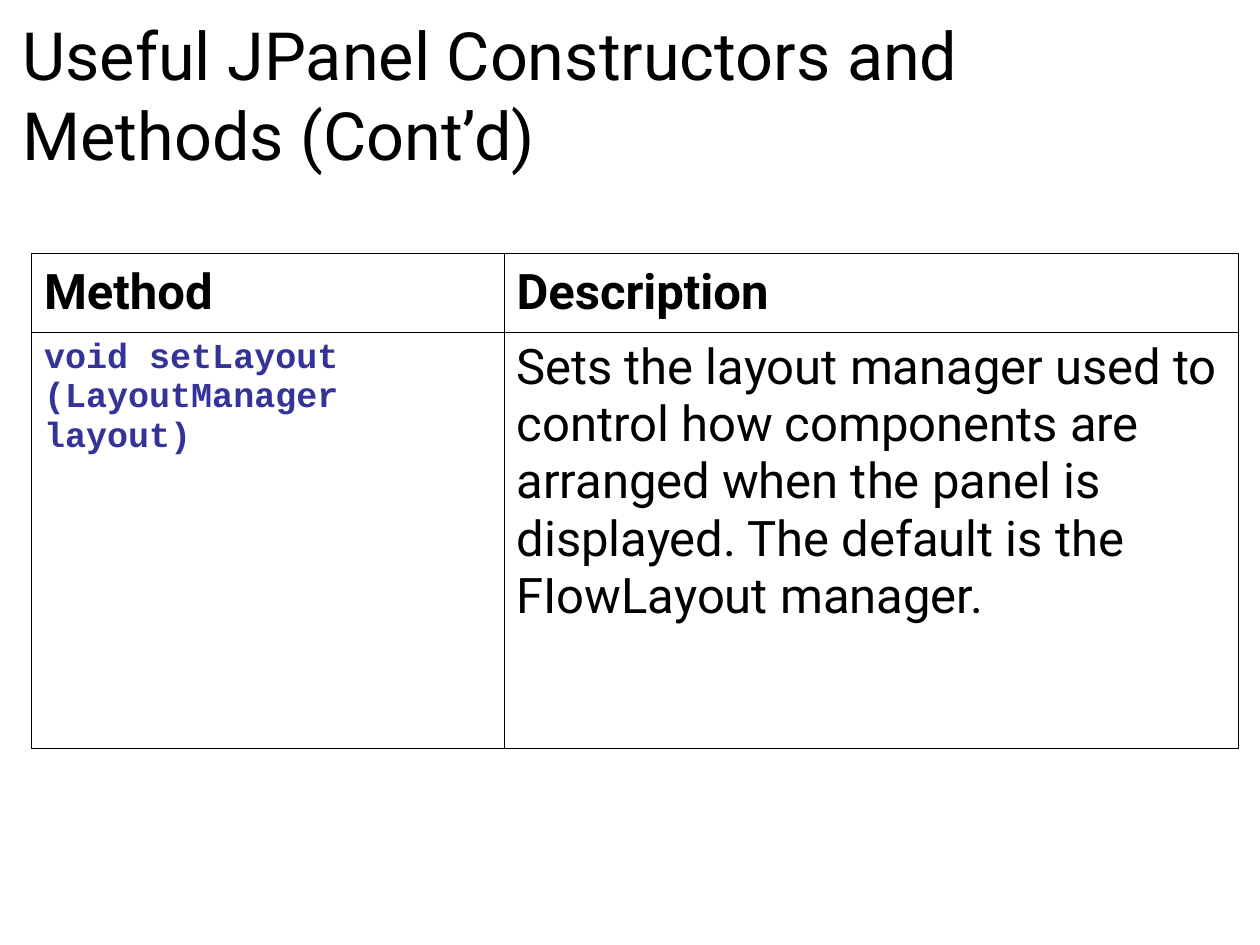
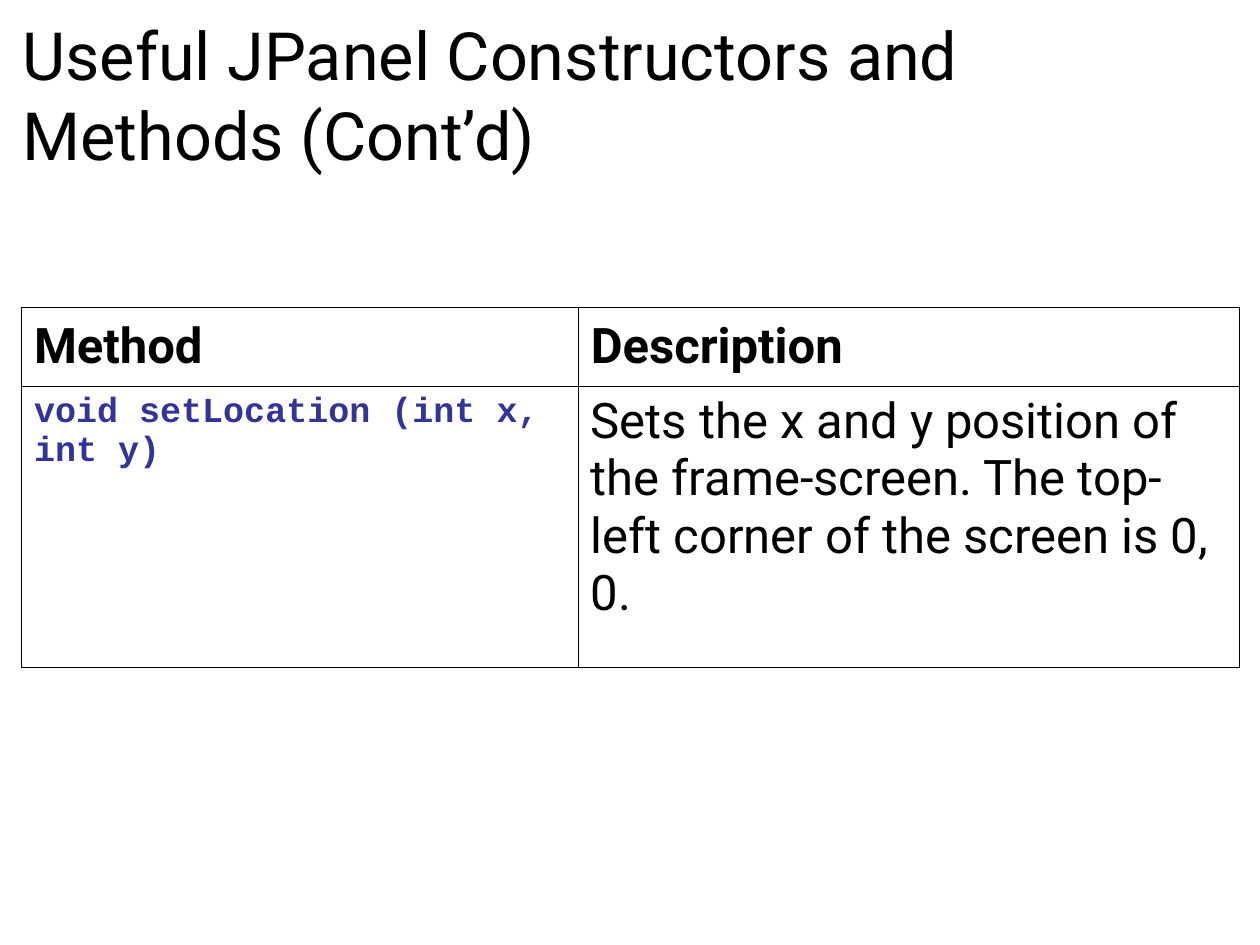
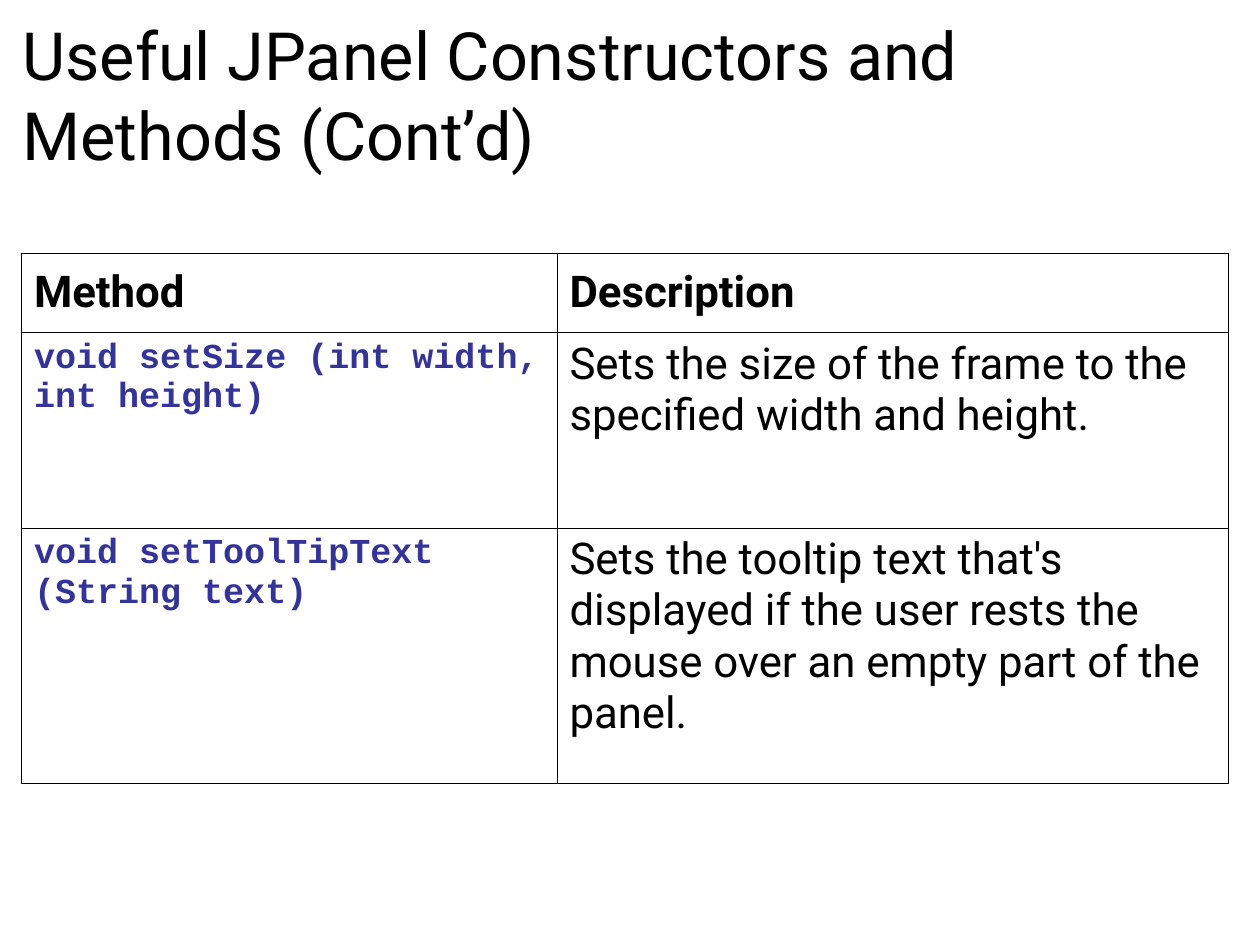
from lxml import etree
from pptx import Presentation
from pptx.dml.color import RGBColor
from pptx.enum.text import MSO_ANCHOR
from pptx.oxml.ns import qn
from pptx.util import Emu, Pt

TOP, MIDDLE = MSO_ANCHOR.TOP, MSO_ANCHOR.MIDDLE
PX = 9144  # 100 px to the inch
PAGE_SIZE = (1000, 750)
COLORS = {"text": "000000", "code": "333399", "border": "000000"}
BODY_FONT, CODE_FONT = "Roboto", "Courier New"
CODE_SIZE, TITLE_SIZE = 20, 38
BORDER_WIDTH = Pt(0.45)
INSET_X, INSET_Y = 10, 5

TITLE = "Useful JPanel Constructors and Methods (Cont’d)"
TITLE_BOX = (8, 6, 825, 157)
HEADINGS = ("Method", "Description")

# One entry per slide; "rows" holds the heights of all rows, heading first
PAGES = [
    {
        "corner": (25, 201), "columns": (375, 583), "rows": (63, 330), "size": 28,
        "methods": [
            ("void setLayout (LayoutManager layout)",
             "Sets the layout manager used to control how components are arranged "
             "when the panel is displayed. The default is the FIowLayout manager."),
        ],
    },
    {
        "corner": (17, 244), "columns": (442, 525), "rows": (63, 223), "size": 28,
        "methods": [
            ("void setLocation (int x, int y)",
             "Sets the x and y position of the frame-screen. "
             "The top-left corner of the screen is 0, 0."),
        ],
    },
    {
        "corner": (17, 201), "columns": (425, 533), "rows": (63, 155, 203), "size": 25,
        "methods": [
            ("void setSize (int width, int height)",
             "Sets the size of the frame to the specified width and height."),
            ("void setToolTipText (String text)",
             "Sets the tooltip text that's displayed if the user rests "
             "the mouse over an empty part of the panel."),
        ],
    },
]


def px(length):
    return Emu(length * PX)


def write(frame, text, size, font=BODY_FONT, color="text", bold=False):
    frame.text = text
    frame.word_wrap = True
    style = frame.paragraphs[0].runs[0].font
    style.name, style.size, style.bold = font, Pt(size), bold
    style.color.rgb = RGBColor.from_string(COLORS[color])


def set_insets(holder):
    holder.margin_left = holder.margin_right = px(INSET_X)
    holder.margin_top = holder.margin_bottom = px(INSET_Y)


def add_title(page, box):
    frame = page.shapes.add_textbox(*map(px, box)).text_frame
    write(frame, TITLE, TITLE_SIZE)
    set_insets(frame)
    frame.vertical_anchor = TOP


def add_borders(cell):
    """Draw all four sides; the lines must come before the fill."""
    properties = cell._tc.get_or_add_tcPr()
    for position, side in enumerate(("a:lnL", "a:lnR", "a:lnT", "a:lnB")):
        line = etree.Element(qn(side), w=str(BORDER_WIDTH))
        fill = etree.SubElement(line, qn("a:solidFill"))
        etree.SubElement(fill, qn("a:srgbClr"), val=COLORS["border"])
        properties.insert(position, line)


def add_method_table(page, corner, columns, rows, size, methods):
    box = (*corner, sum(columns), sum(rows))
    table = page.shapes.add_table(len(rows), len(columns), *map(px, box)).table
    table.first_row = table.horz_banding = False
    for column, width in zip(table.columns, columns):
        column.width = px(width)
    for row, height in zip(table.rows, rows):
        row.height = px(height)

    for row_index, texts in enumerate([HEADINGS, *methods]):
        heading = row_index == 0
        for column_index, text in enumerate(texts):
            cell = table.cell(row_index, column_index)
            if column_index == 0 and not heading:
                write(cell.text_frame, text, CODE_SIZE, CODE_FONT, "code", bold=True)
            else:
                write(cell.text_frame, text, size, bold=heading)
            set_insets(cell)
            cell.vertical_anchor = MIDDLE if heading else TOP
            cell.fill.background()
            add_borders(cell)


def main():
    deck = Presentation()
    deck.slide_width, deck.slide_height = map(px, PAGE_SIZE)
    for content in PAGES:
        page = deck.slides.add_slide(deck.slide_layouts[6])
        add_title(page, TITLE_BOX)
        add_method_table(page, **content)
    deck.save("out.pptx")


if __name__ == "__main__":
    main()
